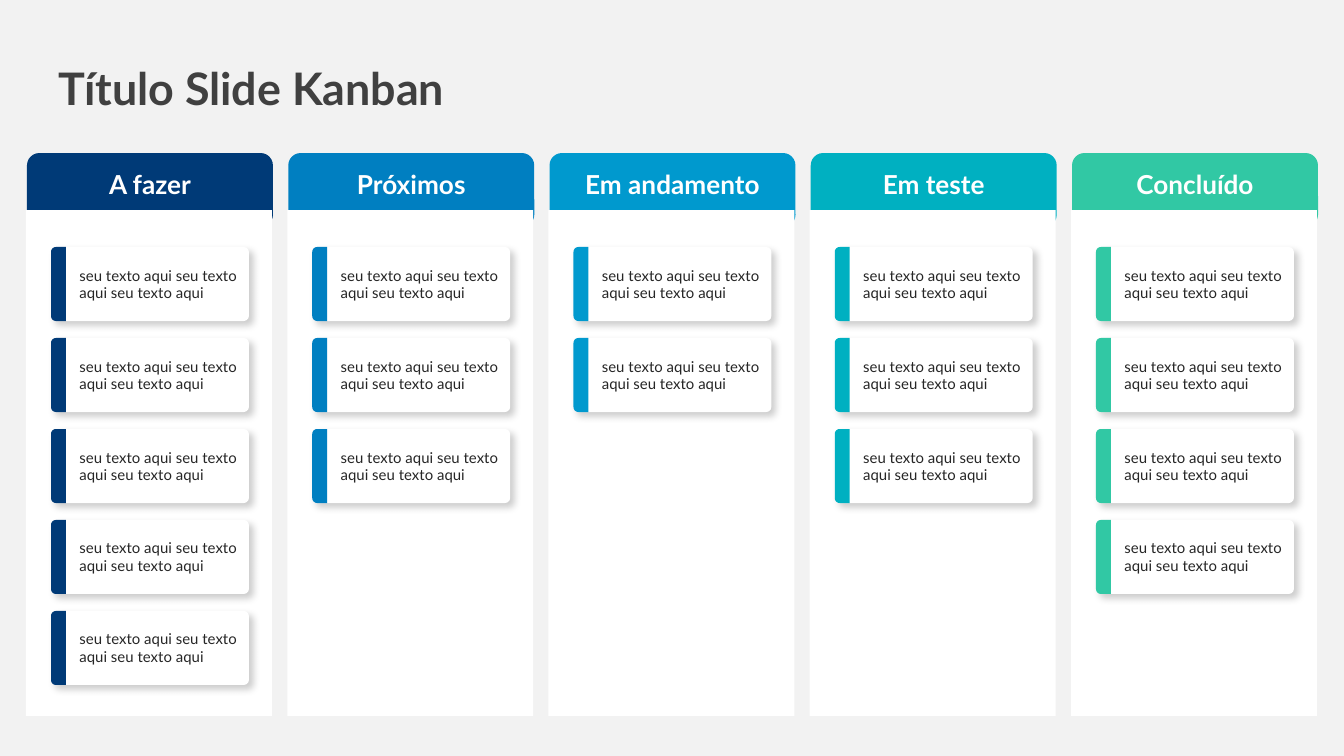
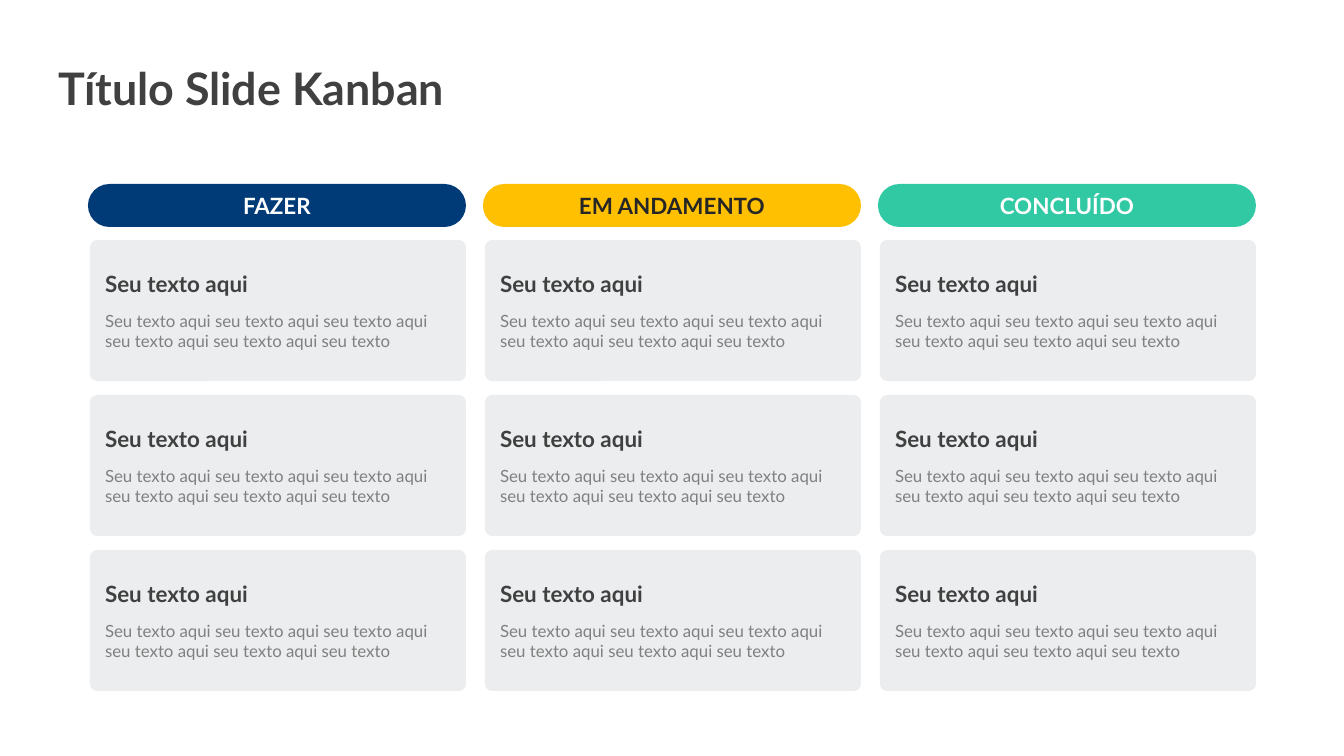
from math import cos, pi, sin

from lxml import etree
from pptx import Presentation
from pptx.dml.color import RGBColor
from pptx.enum.shapes import MSO_SHAPE
from pptx.enum.text import MSO_ANCHOR, MSO_AUTO_SIZE, PP_ALIGN
from pptx.oxml.ns import qn
from pptx.util import Emu, Pt

RECT, ROUND = MSO_SHAPE.RECTANGLE, MSO_SHAPE.ROUNDED_RECTANGLE
LEFT, CENTER = PP_ALIGN.LEFT, PP_ALIGN.CENTER
MIDDLE, NO_FIT = MSO_ANCHOR.MIDDLE, MSO_AUTO_SIZE.NONE

# Content
TITLE = "Título Slide Kanban"
TASK = "seu texto aqui seu texto aqui seu texto aqui"
CARD_HEAD = "Seu texto aqui"
CARD_BODY = ("Seu texto aqui seu texto aqui seu texto aqui "
             "seu texto aqui seu texto aqui seu texto")
BOARD = [  # heading, colour, number of tasks
    ("A fazer", "navy", 5),
    ("Próximos", "blue", 3),
    ("Em andamento", "sky", 2),
    ("Em teste", "teal", 3),
    ("Concluído", "green", 4),
]
STAGES = [  # heading, fill, text colour
    ("FAZER", "navy", "white"),
    ("EM ANDAMENTO", "yellow", "ink"),
    ("CONCLUÍDO", "green", "white"),
]
CARDS_PER_STAGE = 3

# Style
FONT = "Lato"
COLORS = {
    "navy": "003A77", "blue": "007FC1", "sky": "0099CE", "teal": "00B0C1",
    "green": "31C8A4", "yellow": "FFC001", "white": "FFFFFF",
    "page": "F2F2F2", "card": "EBEDEE", "title": "404040",
    "ink": "262626", "grey": "808080", "black": "000000",
}
PX_PER_INCH = 134.4
SLIDE_W, SLIDE_H = 1344, 756
INSETS = (13, 7, 13, 7)  # left, top, right, bottom


def px(n):
    return Emu(round(n * 914400 / PX_PER_INCH))


def color(name):
    return RGBColor.from_string(COLORS[name])


def write(tf, lines, align=LEFT, insets=INSETS):
    """Fill a frame with (text, size, colour, bold) lines."""
    tf.word_wrap = True
    tf.auto_size = NO_FIT
    tf.vertical_anchor = MIDDLE
    tf.margin_left, tf.margin_top, tf.margin_right, tf.margin_bottom = map(px, insets)
    tf.text = "\n".join(line[0] for line in lines)
    for p, (_, size, ink, bold) in zip(tf.paragraphs, lines):
        p.alignment = align
        font = p.runs[0].font
        font.name, font.size, font.bold = FONT, Pt(size), bold
        font.color.rgb = color(ink)


def paint(sp, fill):
    sp.shadow.inherit = False
    sp.fill.solid()
    sp.fill.fore_color.rgb = color(fill)
    sp.line.fill.background()
    return sp


def add_box(shapes, kind, x, y, w, h, fill, radius=None):
    sp = paint(shapes.add_shape(kind, px(x), px(y), px(w), px(h)), fill)
    if radius is not None:
        sp.adjustments[0] = radius
    return sp


def add_soft_shadow(sp):
    effects = sp.element.spPr.find(qn("a:effectLst"))
    shadow = etree.SubElement(effects, qn("a:outerShdw"), blurRad=str(Pt(4)),
                              dist=str(Pt(3)), dir="2700000", algn="tl",
                              rotWithShape="0")
    tone = etree.SubElement(shadow, qn("a:srgbClr"), val=COLORS["black"])
    etree.SubElement(tone, qn("a:alpha"), val="20000")


def add_strip(shapes, x, y, w, h, r, fill):
    """Bar with rounded corners on its left side only."""
    points = [(x + w, y), (x + w, y + h)]
    for cy, start in ((y + h - r, pi / 2), (y + r, pi)):
        angles = [start + pi / 2 * k / 6 for k in range(7)]
        points += [(x + r + r * cos(a), cy + r * sin(a)) for a in angles]
    points = [(px(a), px(b)) for a, b in points]
    pen = shapes.build_freeform(*points[0])
    pen.add_line_segments(points[1:], close=True)
    paint(pen.convert_to_shape(), fill)


def add_slide(prs, background):
    s = prs.slides.add_slide(prs.slide_layouts[5])
    s.background.fill.solid()
    s.background.fill.fore_color.rgb = color(background)
    t = s.shapes.title
    t.left, t.top, t.width, t.height = map(px, (46, 54, 965, 67))
    write(t.text_frame, [(TITLE, 24, "title", True)])
    return s


def add_task(s, x, y, fill):
    w, h = 198, 74
    shapes = s.shapes.add_group_shape().shapes
    sp = add_box(shapes, ROUND, x, y, w, h, "white", 0.07)
    add_soft_shadow(sp)
    write(sp.text_frame, [(TASK, 8, "ink", False)], insets=(27, 7, 5, 7))
    add_strip(shapes, x, y, 15, h, 5, fill)


def build_board(prs):
    s = add_slide(prs, "page")
    first, last, width = 27, 1072, 246
    pitch = (last - first) / (len(BOARD) - 1)
    for i, (heading, fill, tasks) in enumerate(BOARD):
        x = first + i * pitch
        # Column
        shapes = s.shapes.add_group_shape().shapes
        sp = add_box(shapes, ROUND, x, 153, width, 74, fill)
        write(sp.text_frame, [(heading, 14, "white", True)], CENTER, (13, 0, 13, 11))
        add_box(shapes, RECT, x - 1, 210, width, 506, "white")
        # Tasks
        for j in range(tasks):
            add_task(s, x + 24, 247 + j * 91, fill)


def build_stages(prs):
    s = add_slide(prs, "white")
    for i, (heading, fill, ink) in enumerate(STAGES):
        x = 88 + i * 395
        # Stage heading
        sp = add_box(s.shapes, ROUND, x, 184, 378, 43, fill, 0.5)
        write(sp.text_frame, [(heading, 12, ink, True)], CENTER)
        # Cards
        for j in range(CARDS_PER_STAGE):
            sp = add_box(s.shapes, ROUND, x + 2, 240 + j * 155, 376, 141, "card", 0.05)
            tf = sp.text_frame
            write(tf, [(CARD_HEAD, 12, "title", True), (CARD_BODY, 9, "grey", False)])
            tf.paragraphs[1].space_before = Pt(7.2)


def main():
    prs = Presentation()
    prs.slide_width, prs.slide_height = px(SLIDE_W), px(SLIDE_H)
    build_board(prs)
    build_stages(prs)
    prs.save("out.pptx")


if __name__ == "__main__":
    main()
